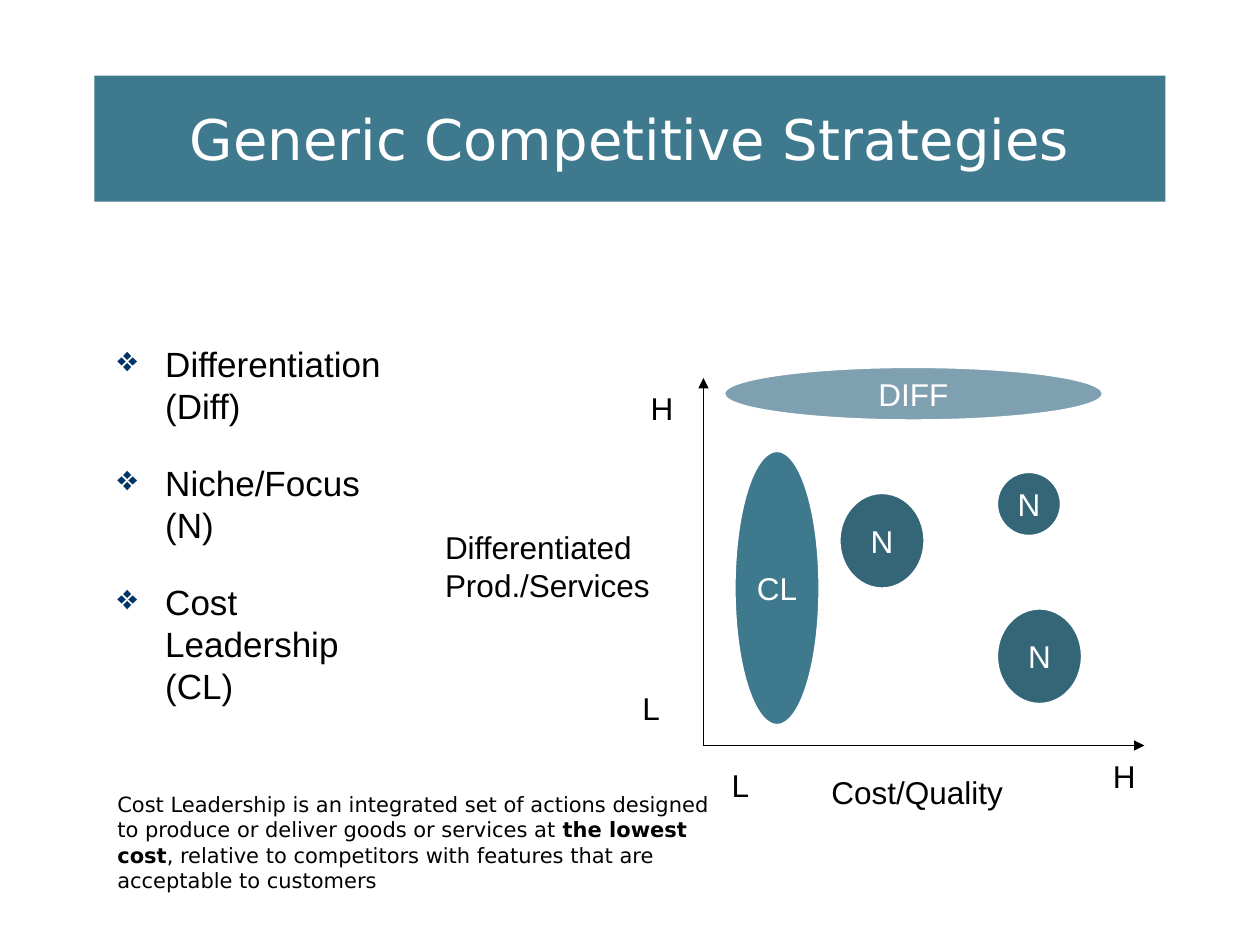
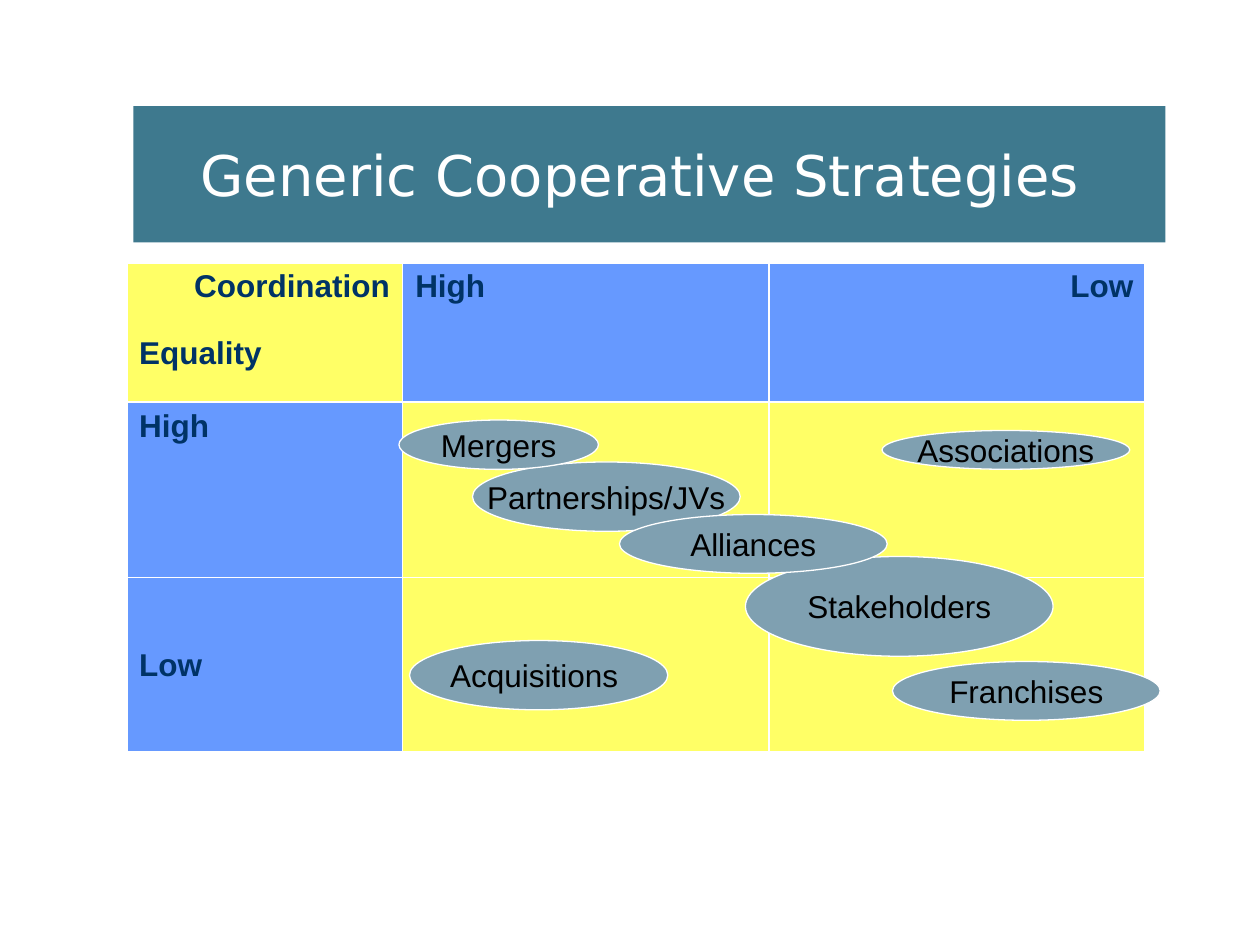
import pptx
import pptx.dml.color
import pptx.enum.shapes
import pptx.enum.text
import pptx.oxml
import pptx.oxml.ns
import pptx.util
from dataclasses import dataclass
from lxml import etree

ALIGN = pptx.enum.text.PP_ALIGN
ANCHOR = pptx.enum.text.MSO_ANCHOR
SHAPE = pptx.enum.shapes.MSO_SHAPE
qn = pptx.oxml.ns.qn


@dataclass(frozen=True)
class Theme:
    teal: str = "3E798E"
    deep_teal: str = "356677"
    mist: str = "7FA0B1"
    white: str = "FFFFFF"
    black: str = "000000"
    navy: str = "003366"
    yellow: str = "FFFF66"
    blue: str = "6699FF"
    body_font: str = "Arial"
    display_font: str = "DejaVu Sans"
    title_size: int = 32
    bullet_size: int = 20
    label_size: int = 18
    note_size: int = 12
    thin: float = 0.75
    inner_border: float = 1
    outer_border: float = 2.25


def rgb(color):
    return pptx.dml.color.RGBColor.from_string(color)


class Deck:
    """Slides on a grid of 120 columns by 90 rows (twelve to the inch)."""

    columns, rows = 120, 90

    def __init__(self, theme):
        self.theme = theme
        self.presentation = pptx.Presentation()
        self.presentation.slide_width = pptx.util.Inches(10)
        self.presentation.slide_height = pptx.util.Inches(7.5)
        self.slide = None

    def grid(self, *lengths):
        """Turn alternating columns and rows into slide lengths."""
        column = self.presentation.slide_width / self.columns
        row = self.presentation.slide_height / self.rows
        return [round(length * (row if i % 2 else column))
                for i, length in enumerate(lengths)]

    def new_slide(self, title, area):
        self.slide = self.presentation.slides.add_slide(
            self.presentation.slide_layouts[6])
        band = self.filled(SHAPE.RECTANGLE, area, self.theme.teal)
        band.line.fill.background()
        self.set_lines(band.text_frame, [title], self.theme.title_size,
                       self.theme.white, self.theme.display_font, ALIGN.CENTER)

    def filled(self, kind, area, color):
        shape = self.slide.shapes.add_shape(kind, *self.grid(*area))
        shape.shadow.inherit = False
        shape.fill.solid()
        shape.fill.fore_color.rgb = rgb(color)
        shape.text_frame.vertical_anchor = ANCHOR.MIDDLE
        return shape

    def style_run(self, run, size, color, font, bold=False):
        run.font.size = pptx.util.Pt(size)
        run.font.name = font
        run.font.bold = bold
        run.font.color.rgb = rgb(color)

    def set_lines(self, frame, lines, size, color, font=None, align=ALIGN.LEFT,
                  bold=False, gap=0):
        frame.text = "\n".join(lines)
        for i, paragraph in enumerate(frame.paragraphs):
            paragraph.alignment = align
            paragraph.space_before = pptx.util.Pt(gap if i else 0)
            for run in paragraph.runs:
                self.style_run(run, size, color, font or self.theme.body_font, bold)

    def text_box(self, area, wrap=True):
        frame = self.slide.shapes.add_textbox(*self.grid(*area)).text_frame
        frame.word_wrap = wrap
        return frame

    def label(self, area, *lines):
        self.set_lines(self.text_box(area, wrap=False), lines,
                       self.theme.label_size, self.theme.black)

    def bullets(self, area, items):
        size = self.theme.bullet_size
        frame = self.text_box(area)
        self.set_lines(frame, items, size, self.theme.black, gap=size)
        indent = pptx.util.Inches(0.38)
        for paragraph in frame.paragraphs:
            properties = paragraph._p.get_or_add_pPr()
            properties.set("marL", str(indent))
            properties.set("indent", str(-indent))
            color = etree.SubElement(properties, qn("a:buClr"))
            etree.SubElement(color, qn("a:srgbClr"), val=self.theme.navy)
            etree.SubElement(properties, qn("a:buChar"), char="❖")

    def note(self, area, *parts):
        """Set one paragraph from (text, bold) parts."""
        paragraph = self.text_box(area).paragraphs[0]
        for text, bold in parts:
            run = paragraph.add_run()
            run.text = text
            self.style_run(run, self.theme.note_size, self.theme.black,
                           self.theme.display_font, bold)

    def bubble(self, text, area, color, text_color):
        oval = self.filled(SHAPE.OVAL, area, color)
        oval.line.color.rgb = rgb(self.theme.white)
        oval.line.width = pptx.util.Pt(self.theme.thin)
        oval.text_frame.word_wrap = False
        self.set_lines(oval.text_frame, [text], self.theme.label_size, text_color,
                       align=ALIGN.CENTER)

    def arrow(self, start, end):
        axis = self.slide.shapes.add_connector(
            pptx.enum.shapes.MSO_CONNECTOR.STRAIGHT, *self.grid(*start, *end))
        axis.line.color.rgb = rgb(self.theme.black)
        axis.line.width = pptx.util.Pt(self.theme.thin)
        etree.SubElement(axis.line._get_or_add_ln(), qn("a:tailEnd"), type="triangle")
        etree.SubElement(axis._element.spPr, qn("a:effectLst"))

    def border(self, cell, side, width):
        line = etree.SubElement(cell._tc.get_or_add_tcPr(), qn(f"a:ln{side}"),
                                w=str(pptx.util.Pt(width)))
        fill = etree.SubElement(line, qn("a:solidFill"))
        etree.SubElement(fill, qn("a:srgbClr"), val=self.theme.white)

    def matrix(self, corner, widths, heights, content):
        """Draw a table whose headings are blue and whose other cells are yellow."""
        last_row, last_column = len(heights) - 1, len(widths) - 1
        table = self.slide.shapes.add_table(
            len(heights), len(widths),
            *self.grid(*corner, sum(widths), sum(heights))).table
        for column, width in zip(table.columns, widths):
            column.width = self.grid(width)[0]
        for row, height in zip(table.rows, heights):
            row.height = self.grid(0, height)[1]
        for r, texts in enumerate(content):
            for c, lines in enumerate(texts):
                cell = table.cell(r, c)
                edges = {"L": c == 0, "R": c == last_column,
                         "T": r == 0, "B": r == last_row}
                for side, outer in edges.items():
                    self.border(cell, side, self.theme.outer_border if outer
                                else self.theme.inner_border)
                cell.fill.solid()
                heading = (r == 0) != (c == 0)
                cell.fill.fore_color.rgb = rgb(
                    self.theme.blue if heading else self.theme.yellow)
                self.set_lines(cell.text_frame, lines, self.theme.label_size,
                               self.theme.navy, bold=True, gap=self.theme.label_size)
        return table


def competitive_slide(deck):
    theme = deck.theme
    deck.new_slide("Generic Competitive Strategies", (9, 7.2, 102, 12))
    deck.bullets((10, 32, 30, 53),
                 ["Differentiation (Diff)", "Niche/Focus (N)", "Cost Leadership (CL)"])

    # Axes and their labels
    origin = (67, 71)
    deck.arrow(origin, (67, 36))
    deck.arrow(origin, (109, 71))
    deck.label((41.2, 49.7, 22, 8.4), "Differentiated", "Prod./Services")
    deck.label((78, 73, 18.7, 4.8), "Cost/Quality")
    for text, left, top in (("H", 60.8, 36.5), ("L", 60, 65),
                            ("H", 104.8, 71.5), ("L", 68.5, 72.4)):
        deck.label((left, top, 4.3, 4.8), text)

    # Strategy positions
    for niche in ((95, 58, 8, 9), (80, 47, 8, 9), (95, 45, 6, 6)):
        deck.bubble("N", niche, theme.deep_teal, theme.white)
    deck.bubble("DIFF", (69, 35, 36, 5), theme.mist, theme.white)
    deck.bubble("CL", (70, 43, 8, 26), theme.teal, theme.white)

    deck.note((10, 74.8, 60, 10.9),
              ("Cost Leadership is an integrated set of actions designed to produce "
               "or deliver goods or services at ", False),
              ("the lowest cost", True),
              (", relative to competitors with features that are acceptable to "
               "customers", False))


def cooperative_slide(deck):
    theme = deck.theme
    deck.new_slide("Generic Cooperative Strategies ", (12.7, 10.1, 98.3, 13))

    # Coordination and equality matrix
    table = deck.matrix((12.05, 25), (26.3, 34.9, 35.9), (13.3, 16.7, 16.7), [
        [["Coordination", "Equality"], ["High"], ["Low"]],
        [["High"], [], []],
        [["Low"], [], []],
    ])
    for column in (0, 2):
        table.cell(0, column).text_frame.paragraphs[0].alignment = ALIGN.RIGHT
    table.cell(2, 0).vertical_anchor = ANCHOR.MIDDLE

    # Forms of cooperation, from back to front
    for form, area in (
        ("Partnerships/JVs", (45, 44, 25.5, 6.6)),
        ("Stakeholders", (71, 53, 29.3, 9.5)),
        ("Acquisitions ", (39, 61, 24.6, 6.6)),
        ("Alliances", (59, 49, 25.5, 5.6)),
        ("Franchises", (85, 63, 25.5, 5.6)),
        ("Mergers", (38, 40, 19, 4.7)),
        ("Associations", (84, 41, 23.6, 3.7)),
    ):
        deck.bubble(form, area, theme.mist, theme.black)


def main():
    deck = Deck(Theme())
    competitive_slide(deck)
    cooperative_slide(deck)
    deck.presentation.save("out.pptx")


if __name__ == "__main__":
    main()
